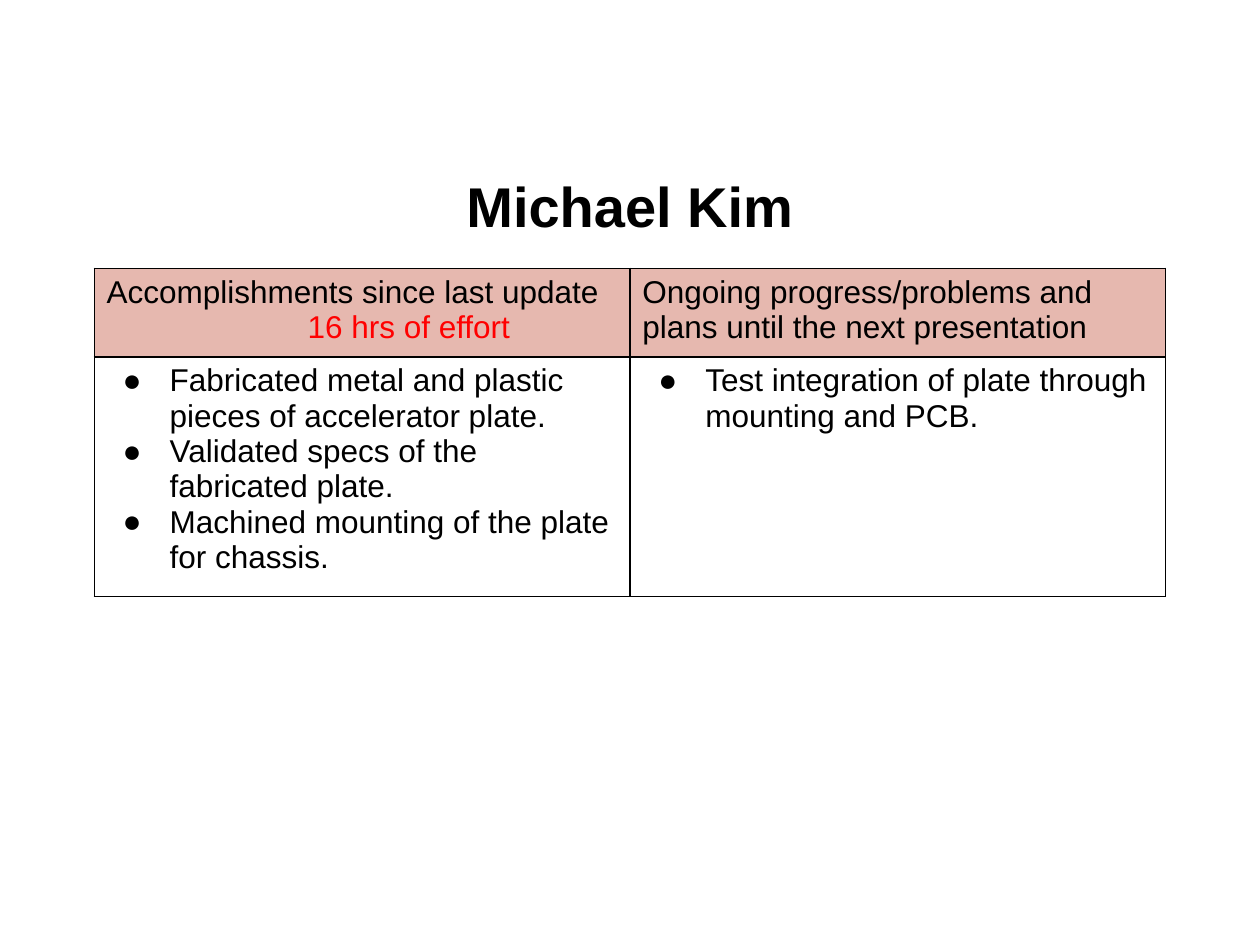
from lxml.etree import SubElement
from pptx import Presentation
from pptx.dml.color import RGBColor
from pptx.enum.text import MSO_ANCHOR as Anchor, PP_ALIGN as Align
from pptx.oxml.ns import qn
from pptx.util import Cm, Pt

THEME = {
    "font": "Arial",
    "title_size": Pt(32),
    "body_size": Pt(18),
    "text": "000000",
    "accent": "FF0000",
    "header_fill": "E6B8AF",
    "border": "000000",
    "border_width": Pt(1),
}

TITLE = "Michael Kim"
# Each header line: text, colour, left indent
COLUMNS = [
    {
        "header": [
            ("Accomplishments since last update", THEME["text"], Cm(0)),
            ("16 hrs of effort", THEME["accent"], Cm(4.05)),
        ],
        "items": [
            "Fabricated metal and plastic pieces of accelerator plate.",
            "Validated specs of the fabricated plate.",
            "Machined mounting of the plate for chassis.",
        ],
    },
    {
        "header": [
            ("Ongoing progress/problems and plans until the next presentation",
             THEME["text"], Cm(0)),
        ],
        "items": ["Test integration of plate through mounting and PCB."],
    },
]

TABLE_LEFT, TABLE_TOP = Cm(1.9), Cm(5.41)
COLUMN_WIDTH = Cm(10.8)
ROW_HEIGHTS = [Cm(1.78), Cm(4.83)]
BULLET_LEFT, BULLET_HANGING = Cm(1.27), Cm(-0.95)
MARGINS = {
    "margin_left": Cm(0.25), "margin_right": Cm(0.25),
    "margin_top": Cm(0.13), "margin_bottom": Cm(0.13),
}


def set_attributes(target, values):
    for name, value in values.items():
        setattr(target, name, value)


def add_run(paragraph, text, color=THEME["text"], size=THEME["body_size"], bold=False):
    run = paragraph.add_run()
    run.text = text
    set_attributes(run.font, {"name": THEME["font"], "size": size, "bold": bold})
    run.font.color.rgb = RGBColor.from_string(color)


def paragraphs_for(text_frame, entries):
    """Yield one paragraph per entry, starting with the frame's first one."""
    for index, entry in enumerate(entries):
        paragraph = text_frame.add_paragraph() if index else text_frame.paragraphs[0]
        yield paragraph, entry


def add_bullet(paragraph):
    properties = paragraph._p.get_or_add_pPr()
    properties.set("marL", str(BULLET_LEFT))
    properties.set("indent", str(BULLET_HANGING))
    color = SubElement(properties, qn("a:buClr"))
    SubElement(color, qn("a:srgbClr"), val=THEME["text"])
    SubElement(properties, qn("a:buFont"), typeface=THEME["font"])
    SubElement(properties, qn("a:buChar"), char="●")


def add_borders(cell):
    """Outline a cell; must run before its fill is set."""
    properties = cell._tc.get_or_add_tcPr()
    for side in ("lnL", "lnR", "lnT", "lnB"):
        line = SubElement(properties, qn(f"a:{side}"), w=str(THEME["border_width"]))
        fill = SubElement(line, qn("a:solidFill"))
        SubElement(fill, qn("a:srgbClr"), val=THEME["border"])


def add_title(slide):
    box = slide.shapes.add_textbox(Cm(1.27), Cm(2.92), Cm(22.86), Cm(2.24))
    frame = box.text_frame
    set_attributes(frame, {"word_wrap": True, "vertical_anchor": Anchor.MIDDLE, **MARGINS})
    paragraph = frame.paragraphs[0]
    set_attributes(paragraph, {"alignment": Align.CENTER, "line_spacing": 1.15})
    add_run(paragraph, TITLE, size=THEME["title_size"], bold=True)


def add_update_table(slide):
    table = slide.shapes.add_table(
        len(ROW_HEIGHTS), len(COLUMNS), TABLE_LEFT, TABLE_TOP,
        COLUMN_WIDTH * len(COLUMNS), sum(ROW_HEIGHTS),
    ).table
    set_attributes(table, {"first_row": False, "horz_banding": False})
    for row, height in zip(table.rows, ROW_HEIGHTS):
        row.height = height
    for cell in table.iter_cells():
        set_attributes(cell, MARGINS)
        add_borders(cell)

    for index, content in enumerate(COLUMNS):
        table.columns[index].width = COLUMN_WIDTH
        header, body = table.cell(0, index), table.cell(1, index)
        header.fill.solid()
        header.fill.fore_color.rgb = RGBColor.from_string(THEME["header_fill"])
        body.fill.background()
        for paragraph, (text, color, indent) in paragraphs_for(
                header.text_frame, content["header"]):
            paragraph._p.get_or_add_pPr().set("marL", str(indent))
            add_run(paragraph, text, color)
        for paragraph, text in paragraphs_for(body.text_frame, content["items"]):
            add_bullet(paragraph)
            add_run(paragraph, text)


def main():
    presentation = Presentation()
    set_attributes(presentation, {"slide_width": Cm(25.4), "slide_height": Cm(19.05)})
    slide = presentation.slides.add_slide(presentation.slide_layouts[6])
    add_title(slide)
    add_update_table(slide)
    presentation.save("out.pptx")


if __name__ == "__main__":
    main()
